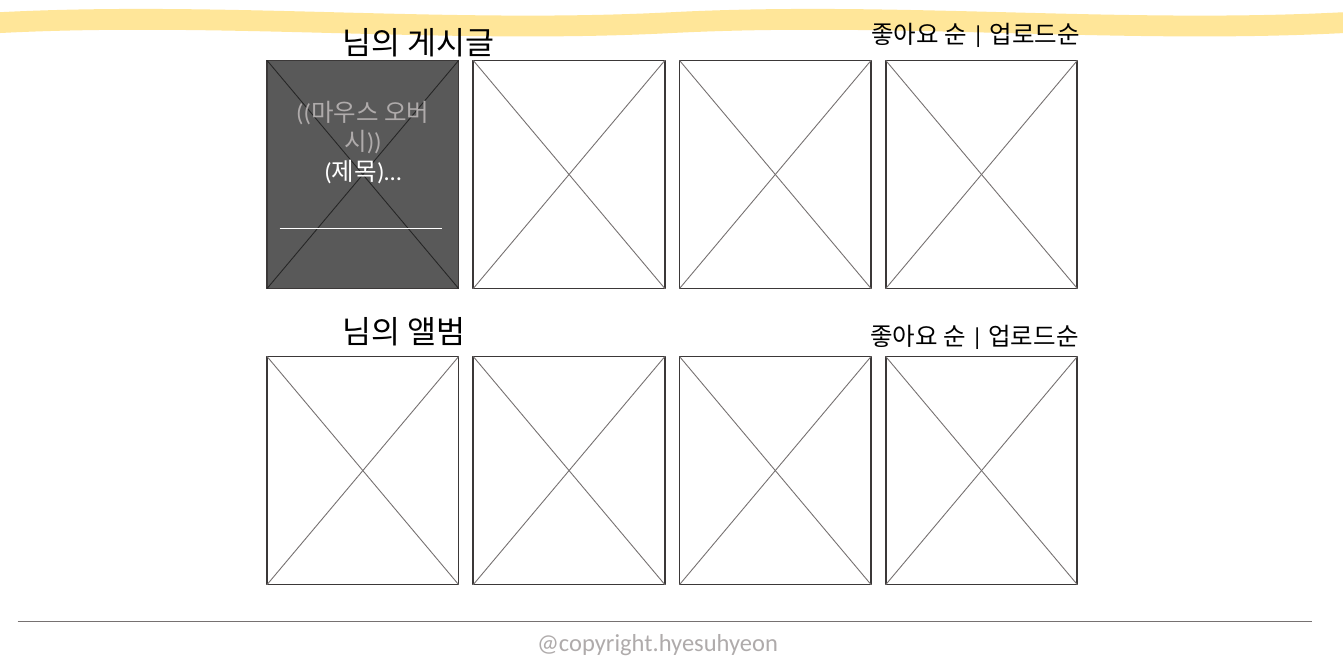
from lxml.etree import SubElement
from pptx import Presentation
from pptx.dml.color import RGBColor as Rgb
from pptx.enum.shapes import MSO_CONNECTOR as Link, MSO_SHAPE as Form
from pptx.enum.text import MSO_ANCHOR as Anchor, MSO_AUTO_SIZE as Fit, PP_ALIGN as Align
from pptx.oxml.ns import qn
from pptx.util import Inches as In, Pt

theme = dict(
    font="Calibri", head=Pt(18), body=Pt(14), thick=Pt(1), thin=Pt(0.5),
    ink="000000", edge="3B3838", cross="767171", mute="AFABAB",
    dark="595959", deep="262626", white="FFFFFF", wave="FFE699",
)
wide, high = Pt(768), Pt(384)

# Grid of tiles
cols, left, right = 4, 2.12, 8.55
tile_w, tile_h = 1.52, 1.81
step = (right - left - tile_w) / (cols - 1)
tops = (0.48, 2.83)


def write(box, spot, lines, size, align):
    """Place a text shape and fill it with (text, colour) lines."""
    place = dict(zip(("left", "top", "width", "height"), map(In, spot)))
    for key, val in place.items():
        setattr(box, key, val)
    frame = box.text_frame
    form = dict(word_wrap=True, auto_size=Fit.SHAPE_TO_FIT_TEXT,
                vertical_anchor=Anchor.TOP)
    for key, val in form.items():
        setattr(frame, key, val)
    frame.text = "\n".join(text for text, _ in lines)
    for para, (_, tint) in zip(frame.paragraphs, lines):
        para.alignment = align
        for key, val in dict(name=theme["font"], size=theme[size]).items():
            setattr(para.font, key, val)
        para.font.color.rgb = Rgb.from_string(theme[tint])


def rule(home, x1, y1, x2, y2, tint):
    """Draw a thin straight line."""
    line = home.add_connector(Link.STRAIGHT, *map(In, (x1, y1, x2, y2)))
    line.line.color.rgb = Rgb.from_string(theme[tint])
    line.line.width = theme["thin"]
    SubElement(line.element.spPr, qn("a:effectLst"))


deck = Presentation()
deck.slide_width, deck.slide_height = wide, high
slide = deck.slides.add_slide(deck.slide_layouts[5])
shapes = slide.shapes
title = shapes.title

# Wave band, behind the title
band = shapes.add_shape(Form.DOUBLE_WAVE, In(-0.01), In(0.07), wide, In(0.22))
band.shadow.inherit = False
band.fill.solid()
band.fill.fore_color.rgb = Rgb.from_string(theme["wave"])
band.line.fill.background()
band.adjustments[0], band.adjustments[1] = 0.125, 0
title.element.addprevious(band.element)

# Two rows of tiles, then the hovered tile on top of the first
tiles = []
for top in tops:
    home = shapes.add_group_shape().shapes
    tiles += [(home, left + col * step, top, None, "cross") for col in range(cols)]
tiles.append((shapes, left, tops[0], "dark", "deep"))

for home, x, y, fill, tint in tiles:
    tile = home.add_shape(Form.RECTANGLE, *map(In, (x, y, tile_w, tile_h)))
    tile.shadow.inherit = False
    if fill:
        tile.fill.solid()
        tile.fill.fore_color.rgb = Rgb.from_string(theme[fill])
    else:
        tile.fill.background()
    tile.line.color.rgb = Rgb.from_string(theme["edge"])
    tile.line.width = theme["thick"]
    rule(home, x, y, x + tile_w, y + tile_h, tint)
    rule(home, x + tile_w, y, x, y + tile_h, tint)

# Headings, sort labels, hover text and footer
sort = [("좋아요 순 | 업로드순", "ink")]
hover = [("((마우스 오버 시))", "mute"), ("(제목)…", "white")]
texts = [
    (title, (2.62, 0.13, 1.53, 0.4), [("님의 게시글", "ink")], "head", Align.LEFT),
    (None, (2.62, 2.43, 1.53, 0.4), [("님의 앨범", "ink")], "head", Align.LEFT),
    (None, (4.53, 0.1, 4.14, 0.34), sort, "body", Align.RIGHT),
    (None, (4.52, 2.5, 4.14, 0.34), sort, "body", Align.RIGHT),
    (None, (left, 0.72, tile_w, 0.8), hover, "body", Align.CENTER),
    (None, (3.87, 4.93, 2.7, 0.34), [("@copyright.hyesuhyeon", "mute")], "body", Align.CENTER),
]
for box, *rest in texts:
    write(box or shapes.add_textbox(0, 0, 0, 0), *rest)

# Hover underline and footer rule
rule(shapes, left + 0.1, 1.81, left + 1.39, 1.81, "white")
rule(shapes, 0.14, 4.93, 10.41, 4.93, "cross")

deck.save("out.pptx")
